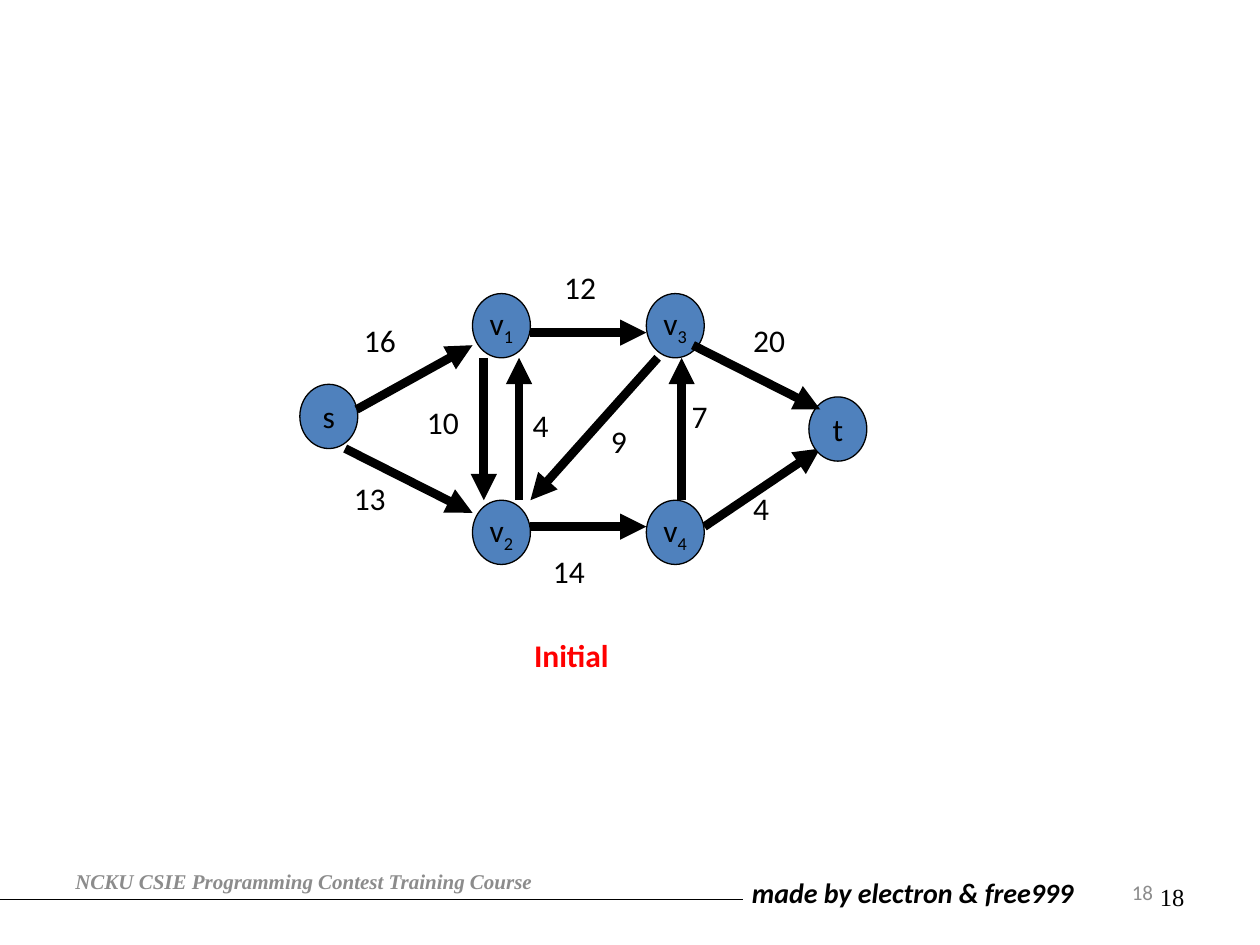
from dataclasses import dataclass, field

from lxml.etree import SubElement
from pptx import Presentation
from pptx.dml.color import RGBColor
from pptx.enum.shapes import MSO_CONNECTOR as Connector, MSO_SHAPE as Shape
from pptx.enum.text import MSO_ANCHOR as Anchor, MSO_AUTO_SIZE as AutoSize, PP_ALIGN as Align
from pptx.oxml.ns import qn
from pptx.util import Emu, Pt

PX = 9144  # 100 px to the inch
BLACK = RGBColor(0x00, 0x00, 0x00)
GREY = RGBColor(0x8C, 0x8C, 0x8C)
RED = RGBColor(0xFF, 0x00, 0x00)
BLUE = RGBColor(0x4F, 0x81, 0xBD)
SERIF = "Times New Roman"
NODE_W, NODE_H = 46, 51
LABEL_H = 50
LABEL_WIDTHS = {1: 37, 2: 53}  # by number of digits


@dataclass(frozen=True)
class Node:
    name: str
    x: int
    y: int
    index: str = ""


@dataclass(frozen=True)
class Edge:
    x1: int
    y1: int
    x2: int
    y2: int


@dataclass(frozen=True)
class Label:
    text: str
    x: int
    y: int
    width: int
    height: int = LABEL_H
    font: dict = field(default_factory=dict)
    color: RGBColor = BLACK
    align: Align = Align.LEFT
    frame: dict = field(default_factory=dict)


MIDDLE = {"vertical_anchor": Anchor.MIDDLE}
GROW = {"auto_size": AutoSize.SHAPE_TO_FIT_TEXT}
NO_WRAP = {"word_wrap": False}

FOOTER = [
    Label("made by electron & free999", 587, 690, 296, 37,
          {"size": Pt(16), "bold": True, "italic": True}, frame=GROW),
    Label("18", 717, 695, 233, 40, {"size": Pt(14), "name": SERIF}, align=Align.RIGHT),
    Label("NCKU CSIE Programming Contest Training Course", 50, 679, 387, 40,
          {"size": Pt(12), "name": SERIF, "bold": True, "italic": True}, GREY, frame=MIDDLE),
    Label("18", 717, 683, 208, 50, {"size": Pt(12)}, GREY, Align.RIGHT, MIDDLE),
]
NODES = [
    Node("s", 238, 305),
    Node("v", 375, 397, "2"),
    Node("v", 513, 397, "4"),
    Node("t", 642, 315),
    Node("v", 513, 233, "3"),
    Node("v", 375, 233, "1"),
]
EDGE_BEHIND_NODES = Edge(559, 418, 651, 356)
EDGES = [
    Edge(283, 325, 375, 274),
    Edge(421, 264, 513, 264),
    Edge(550, 274, 651, 325),
    Edge(274, 356, 375, 407),
    Edge(421, 418, 513, 418),
    Edge(384, 284, 384, 397),
    Edge(412, 397, 412, 284),
    Edge(541, 397, 541, 284),
    Edge(522, 284, 421, 397),
]
CAPACITIES = [
    ("20", 588, 250), ("7", 539, 310), ("9", 475, 330),
    ("16", 279, 250), ("13", 271, 375), ("12", 438, 208), ("10", 329, 315),
    ("4", 413, 317), ("4", 588, 383), ("14", 429, 433),
]
CAPTION = Label("Initial", 414, 500, 94, 40, {"bold": True}, RED, frame=GROW)


def px(*lengths: int) -> list[Emu]:
    return [Emu(length * PX) for length in lengths]


def set_all(target, values: dict) -> None:
    for attribute, value in values.items():
        setattr(target, attribute, value)


def add_run(paragraph, text: str, color: RGBColor = BLACK, **font):
    run = paragraph.add_run()
    run.text = text
    set_all(run.font, {"name": "Calibri", "size": Pt(18)} | font)
    run.font.color.rgb = color
    return run


def draw_label(shapes, label: Label) -> None:
    box = shapes.add_textbox(*px(label.x, label.y, label.width, label.height))
    set_all(box.text_frame, {"auto_size": AutoSize.NONE, "word_wrap": True} | label.frame)
    paragraph = box.text_frame.paragraphs[0]
    paragraph.alignment = label.align
    add_run(paragraph, label.text, label.color, **label.font)


def draw_node(shapes, node: Node) -> None:
    ellipse = shapes.add_shape(Shape.OVAL, *px(node.x, node.y, NODE_W, NODE_H))
    ellipse.shadow.inherit = False
    ellipse.fill.solid()
    ellipse.fill.fore_color.rgb = BLUE
    ellipse.line.color.rgb = BLACK
    ellipse.line.width = Pt(0.75)
    set_all(ellipse.text_frame, MIDDLE | NO_WRAP)
    paragraph = ellipse.text_frame.paragraphs[0]
    paragraph.alignment = Align.CENTER
    add_run(paragraph, node.name)
    if node.index:
        subscript = add_run(paragraph, node.index)
        subscript._r.get_or_add_rPr().set("baseline", "-25000")


def draw_line(shapes, edge: Edge, width: float, arrow: bool) -> None:
    ends = px(edge.x1, edge.y1, edge.x2, edge.y2)
    line = shapes.add_connector(Connector.STRAIGHT, *ends)
    line.line.color.rgb = BLACK
    line.line.width = Pt(width)
    if arrow:
        SubElement(line.line._get_or_add_ln(), qn("a:tailEnd"), type="triangle")
    SubElement(line._element.spPr, qn("a:effectLst"))


def main() -> None:
    deck = Presentation()
    deck.slide_width, deck.slide_height = px(1000, 750)
    shapes = deck.slides.add_slide(deck.slide_layouts[6]).shapes

    draw_line(shapes, Edge(-35, 714, 590, 714), 0.5, arrow=False)
    for label in FOOTER:
        draw_label(shapes, label)

    draw_line(shapes, EDGE_BEHIND_NODES, 5, arrow=True)
    for node in NODES:
        draw_node(shapes, node)
    for edge in EDGES:
        draw_line(shapes, edge, 5, arrow=True)
    for text, x, y in CAPACITIES:
        draw_label(shapes, Label(text, x, y, LABEL_WIDTHS[len(text)], frame=GROW | NO_WRAP))
    draw_label(shapes, CAPTION)

    deck.save("out.pptx")


if __name__ == "__main__":
    main()
